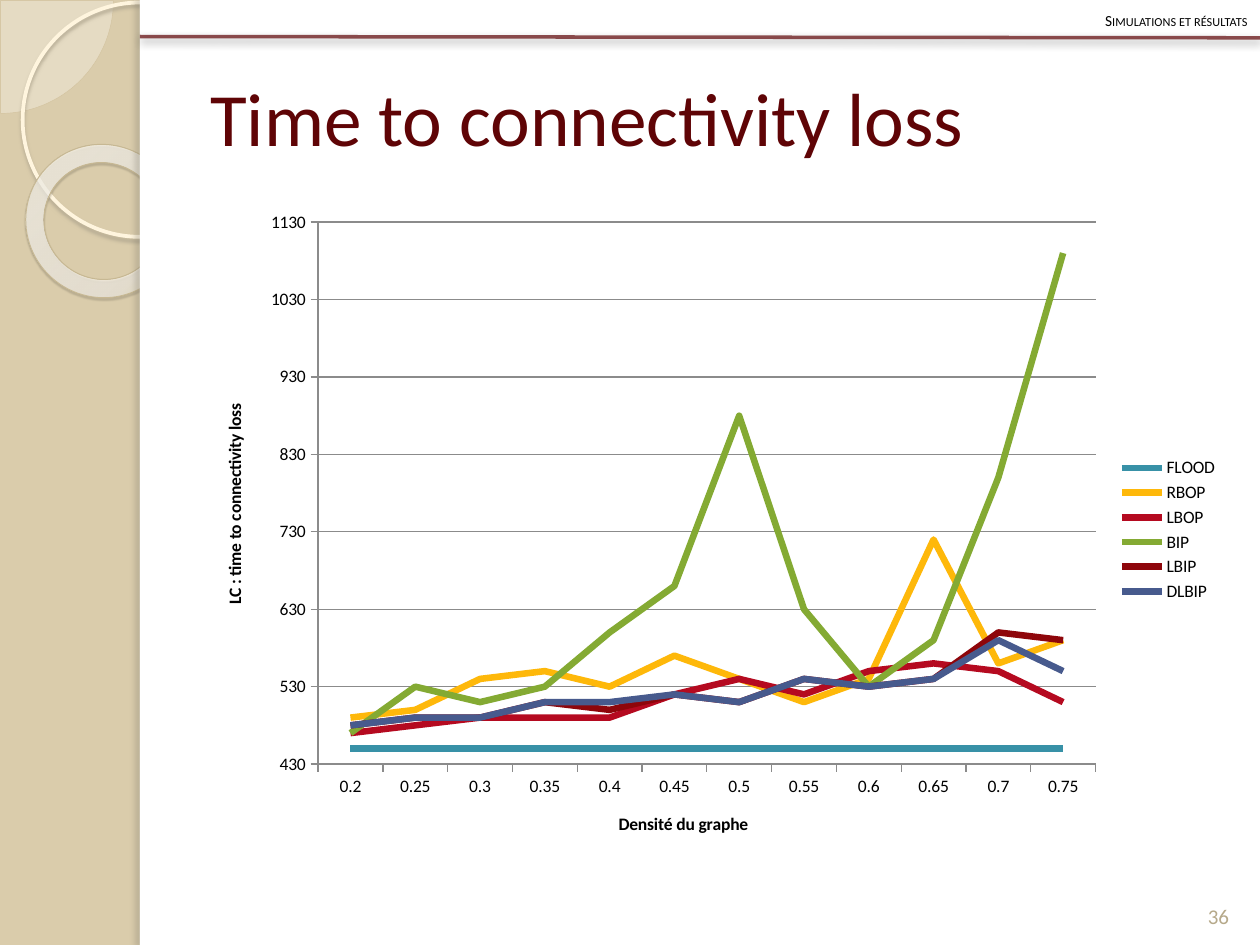
from lxml import etree
from pptx import Presentation
from pptx import util as u
from pptx.chart import data as chart_data
from pptx.dml import color
from pptx.enum import chart as charts, shapes, text
from pptx.oxml import ns, parse_xml

THEME = {
    "font": "Calibri", "sand": "DACCAB", "white": "FFFFFF", "title": "5F0406",
    "number": "B6A98A", "ink": "000000", "grid": "8B8B8B",
    "title_size": 43, "number_size": 12, "header_size": 8.8, "chart_size": 10,
    "series_width": 3.75,
}
HEADER = "Simulations et résultats"
TITLE = "Time to connectivity loss"
NUMBER = "36"
CATEGORY_TITLE = "Densité du graphe"
VALUE_TITLE = "LC : time to connectivity loss"
DENSITIES = ["0.2", "0.25", "0.3", "0.35", "0.4", "0.45",
             "0.5", "0.55", "0.6", "0.65", "0.7", "0.75"]
SERIES = [
    ("FLOOD", "3891A7", [450] * len(DENSITIES)),
    ("RBOP", "FEB80A", [490, 500, 540, 550, 530, 570, 540, 510, 540, 720, 560, 590]),
    ("LBOP", "B50A20", [470, 480, 490, 490, 490, 520, 540, 520, 550, 560, 550, 510]),
    ("BIP", "84AA33", [470, 530, 510, 530, 600, 660, 880, 630, 530, 590, 800, 1090]),
    ("LBIP", "8E060B", [480, 490, 490, 510, 500, 520, 510, 540, 530, 540, 600, 590]),
    ("DLBIP", "475A8D", [480, 490, 490, 510, 510, 520, 510, 540, 530, 540, 590, 550]),
]
RING_STOPS = [(0, "FFFCF6", 70), (70, "FFFEFB", 55), (100, "F0D28E", 60)]


def rgb(value):
    return color.RGBColor.from_string(value)


def inches(box):
    return [u.Inches(length) for length in box]


def set_alpha(element, percent):
    for clr in element.iter(ns.qn("a:srgbClr")):
        etree.SubElement(clr, ns.qn("a:alpha")).set("val", str(percent * 1000))


def add_shadow(shape, hue, alpha, blur, distance, angle):
    effects = parse_xml(
        f'<a:effectLst {ns.nsdecls("a")}><a:outerShdw blurRad="{u.Pt(blur)}" '
        f'dist="{u.Pt(distance)}" dir="{angle * 60000}" algn="tl" rotWithShape="0">'
        f'<a:srgbClr val="{hue}"/></a:outerShdw></a:effectLst>')
    set_alpha(effects, alpha)
    shape._element.spPr.append(effects)


def add_figure(slide, kind, box, fill=None, line=None, shadow=None):
    shape = slide.shapes.add_shape(kind, *inches(box))
    if fill:
        shape.fill.solid()
        shape.fill.fore_color.rgb = rgb(fill)
    else:
        shape.fill.background()
    if line:
        shape.line.color.rgb = rgb(line[0])
        shape.line.width = u.Pt(line[1])
    else:
        shape.line.fill.background()
    if shadow:
        add_shadow(shape, *shadow)
    else:
        shape.shadow.inherit = False
    return shape


def add_ring_gradient(shape):
    stops = "".join(f'<a:gs pos="{place * 1000}"><a:srgbClr val="{hue}">'
                    f'<a:alpha val="{alpha * 1000}"/></a:srgbClr></a:gs>'
                    for place, hue, alpha in RING_STOPS)
    gradient = parse_xml(
        f'<a:gradFill {ns.nsdecls("a")}><a:gsLst>{stops}</a:gsLst><a:path path="circle">'
        '<a:fillToRect l="-408000" t="-50000" r="508000" b="150000"/></a:path></a:gradFill>')
    properties = shape._element.spPr
    properties.replace(properties.find(ns.qn("a:noFill")), gradient)


def add_decoration(slide):
    kinds = shapes.MSO_SHAPE
    pie = add_figure(slide, kinds.PIE, (-0.89, -0.89, 1.79, 1.79), "FEFAF4", ("D3C39F", 0.25))
    pie.adjustments[0], pie.adjustments[1] = 0, 54
    set_alpha(pie._element.spPr.find(ns.qn("a:solidFill")), 33)
    add_figure(slide, kinds.OVAL, (0.18, 0.02, 1.86, 1.86), line=("FFF5DE", 2.15),
               shadow=("B0A68F", 85, 2, 2, 90))
    ring = add_figure(slide, kinds.DONUT, (0.2, 1.15, 1.23, 1.21), line=("C7B893", 0.58),
                      shadow=("5A5444", 35, 1, 1.2, 75))
    ring.adjustments[0] = 0.12
    ring.rotation = 38.6
    add_ring_gradient(ring)
    add_figure(slide, kinds.RECTANGLE, (1.11, 0, 8.89, 7.5), THEME["white"])
    add_figure(slide, kinds.RECTANGLE, (1.11, 0, 0.08, 7.5), THEME["white"],
               shadow=("736F63", 25, 3, 3, 180))
    rule = slide.shapes.add_connector(shapes.MSO_CONNECTOR.STRAIGHT,
                                      *inches((1.11, 0.29, 10, 0.3)))
    rule.line.color.rgb = rgb(THEME["title"])
    rule.line.width = u.Pt(2)
    set_alpha(rule.line._ln, 70)
    add_shadow(rule, THEME["ink"], 43, 5, 2, 90)


def add_text(slide, box, words, size, hue, anchor, align):
    frame = slide.shapes.add_textbox(*inches(box)).text_frame
    frame.word_wrap = True
    frame.vertical_anchor = anchor
    frame.text = words
    paragraph = frame.paragraphs[0]
    paragraph.alignment = align
    font = paragraph.runs[0].font
    font.name, font.size, font.color.rgb = THEME["font"], u.Pt(size), rgb(hue)
    return paragraph


def style_axis(axis, title):
    axis.major_tick_mark = charts.XL_TICK_MARK.OUTSIDE
    axis.format.line.color.rgb = rgb(THEME["grid"])
    axis.format.line.width = u.Pt(0.75)
    frame = axis.axis_title.text_frame
    frame.text = title
    font = frame.paragraphs[0].runs[0].font
    font.name, font.size, font.bold = THEME["font"], u.Pt(THEME["chart_size"]), True
    font.color.rgb = rgb(THEME["ink"])


def add_line_chart(slide):
    data = chart_data.CategoryChartData()
    data.categories = DENSITIES
    for name, _, values in SERIES:
        data.add_series(name, values)
    chart = slide.shapes.add_chart(charts.XL_CHART_TYPE.LINE,
                                   *inches((1.57, 1.58, 8.2, 5.25)), data).chart
    chart.has_title = False
    chart.font.name, chart.font.size = THEME["font"], u.Pt(THEME["chart_size"])
    chart.font.color.rgb = rgb(THEME["ink"])
    chart.has_legend = True
    chart.legend.position = charts.XL_LEGEND_POSITION.RIGHT
    chart.legend.include_in_layout = False
    style_axis(chart.category_axis, CATEGORY_TITLE)
    axis = chart.value_axis
    style_axis(axis, VALUE_TITLE)
    axis.minimum_scale, axis.maximum_scale, axis.major_unit = 430, 1130, 100
    axis.has_major_gridlines = True
    axis.major_gridlines.format.line.color.rgb = rgb(THEME["grid"])
    axis.major_gridlines.format.line.width = u.Pt(0.75)
    plot = chart.plots[0]
    plot.vary_by_categories = False
    for series, (_, hue, _) in zip(plot.series, SERIES):
        series.smooth = False
        series.marker.style = charts.XL_MARKER_STYLE.NONE
        series.format.line.color.rgb = rgb(hue)
        series.format.line.width = u.Pt(THEME["series_width"])


def main():
    """Build the connectivity loss slide."""
    presentation = Presentation()
    presentation.slide_width, presentation.slide_height = inches((10, 7.5))
    slide = presentation.slides.add_slide(presentation.slide_layouts[6])
    slide.background.fill.solid()
    slide.background.fill.fore_color.rgb = rgb(THEME["sand"])
    add_decoration(slide)
    anchors, aligns = text.MSO_ANCHOR, text.PP_ALIGN
    add_text(slide, (1.57, 0.3, 8.2, 1.25), TITLE, THEME["title_size"], THEME["title"],
             anchors.MIDDLE, aligns.LEFT)
    add_text(slide, (9.42, 6.9, 0.5, 0.52), NUMBER, THEME["number_size"], THEME["number"],
             anchors.BOTTOM, aligns.CENTER)
    header = add_text(slide, (0, 0, 10, 0.29), HEADER, THEME["header_size"], THEME["ink"],
                      anchors.MIDDLE, aligns.RIGHT)
    header.line_spacing = 1.2
    header.runs[0].font._element.set("cap", "small")
    add_line_chart(slide)
    presentation.save("out.pptx")


if __name__ == "__main__":
    main()
